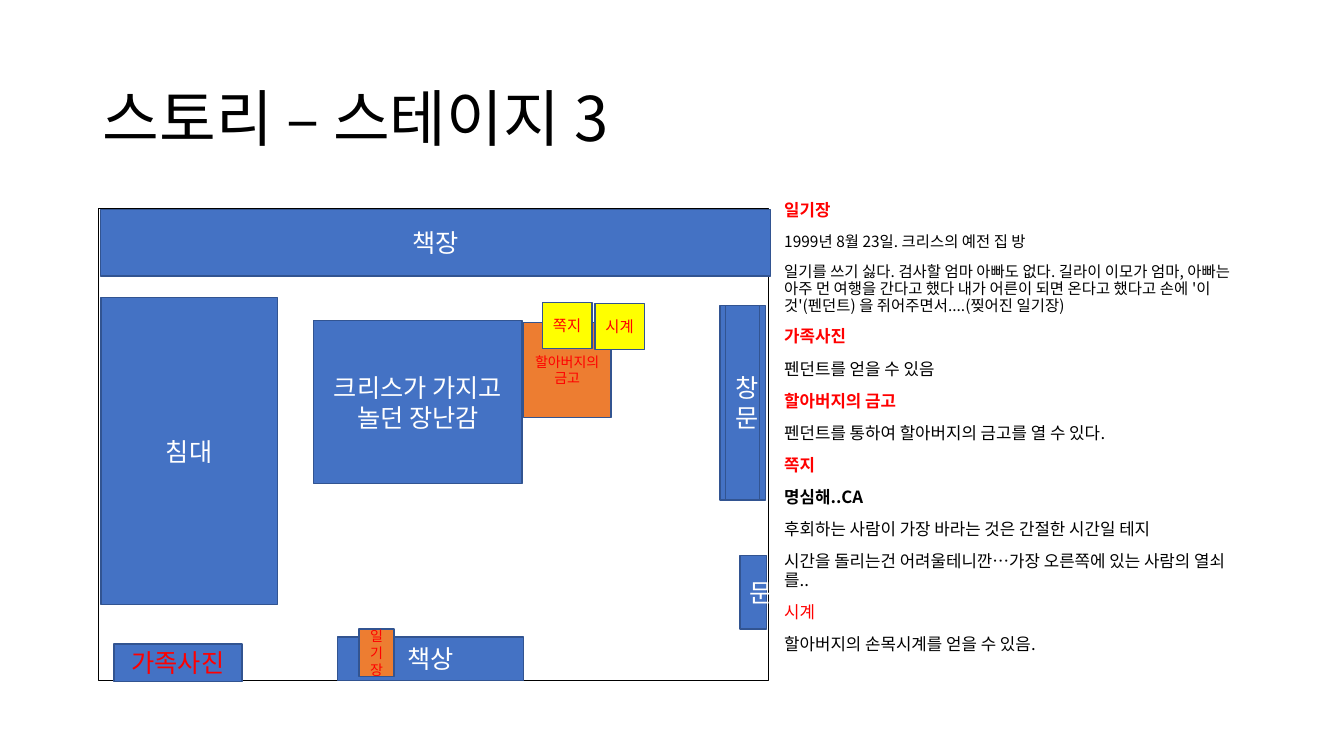
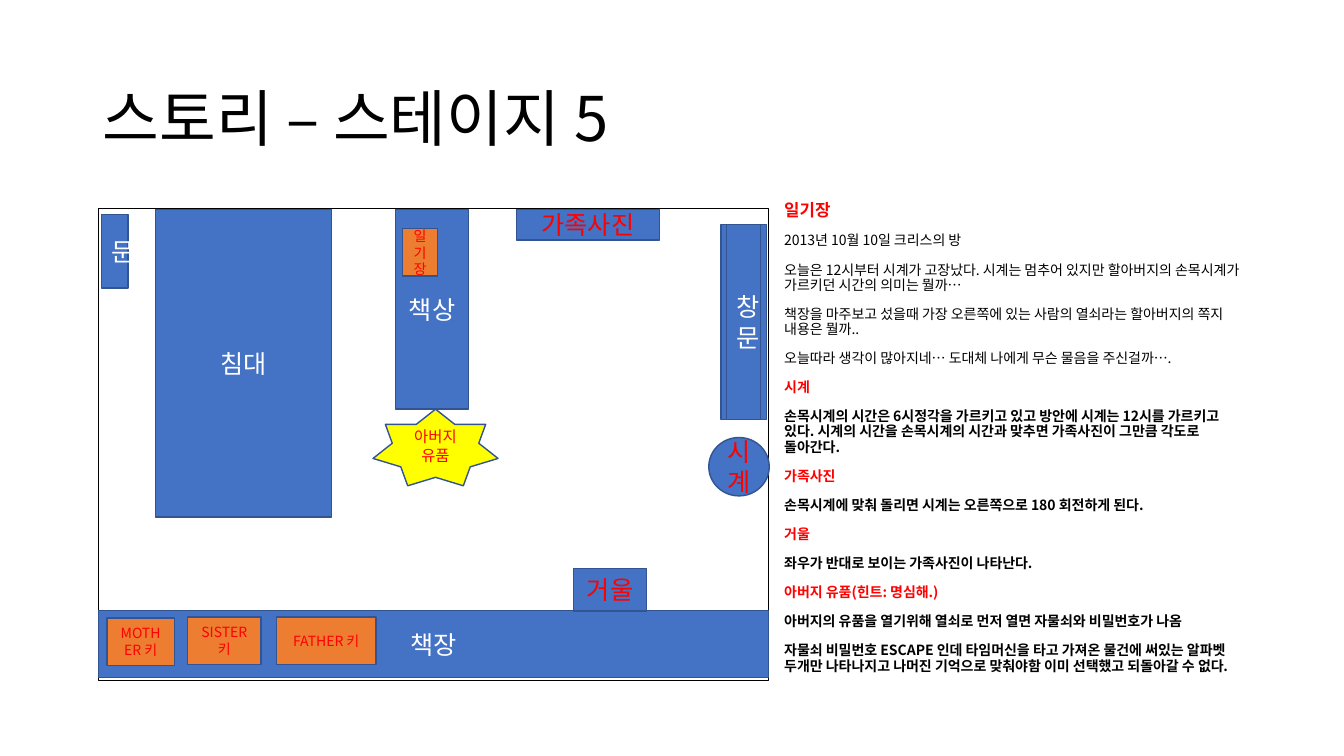
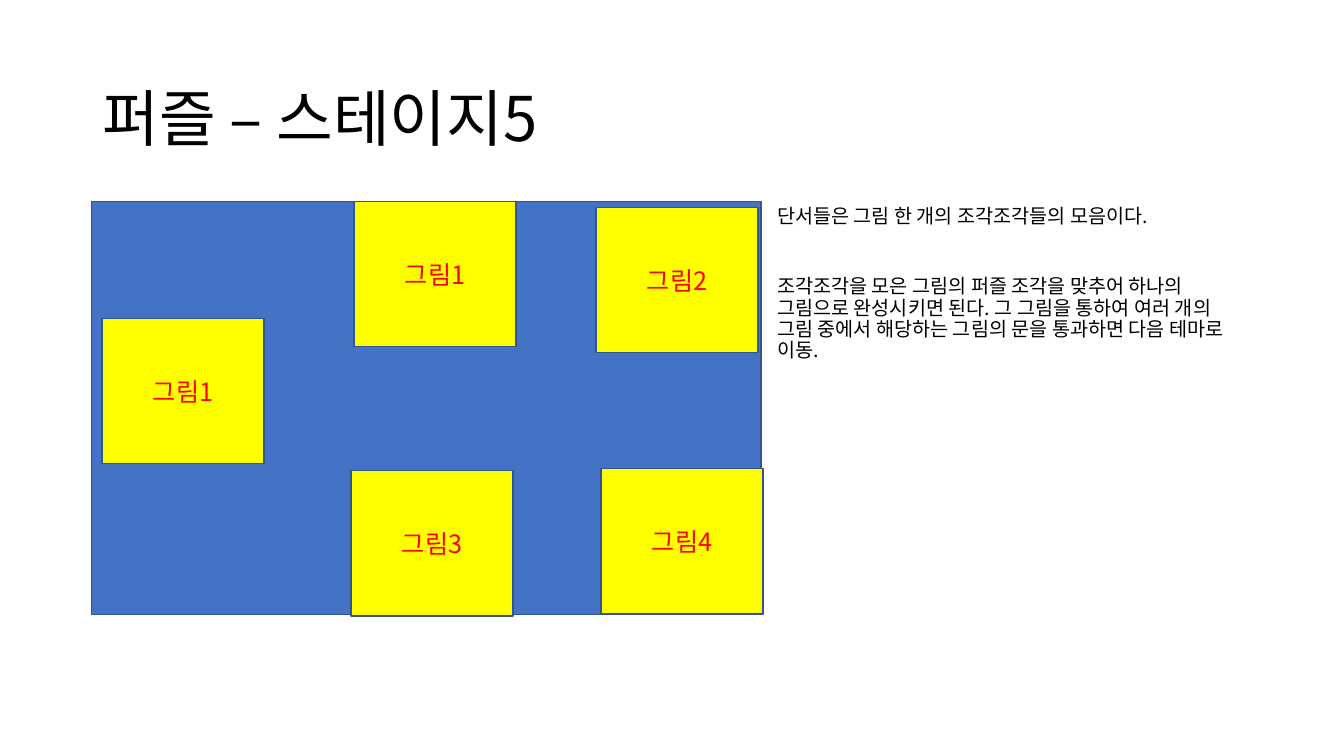
from pptx import Presentation
from pptx import util as u
from pptx.dml.color import RGBColor
from pptx.enum import shapes, text
from pptx.oxml.ns import qn

FONT = "Noto Sans CJK KR"
BLACK, WHITE, RED = "000000", "FFFFFF", "FF0000"
BLUE, ORANGE, YELLOW, EDGE = "4472C4", "ED7D31", "FFFF00", "325491"
TITLE_BOX = (0.92, 0.4, 11.5, 1.45)
ROOM = (0.98, 2.07, 6.64, 4.68)
KIND = shapes.MSO_SHAPE

# Line heights as multiples of the text size
TITLE_LEADING, STORY_LEADING, LABEL_LEADING = 1.3, 1.08, 1.2
PARAGRAPH_GAP = 10

# Item styles: fill, text colour, text size
FURNITURE = (BLUE, WHITE, 18)
CLUE = (BLUE, RED, 18)
HIDDEN = (ORANGE, RED, 10)
NOTE = (YELLOW, RED, 11)
PIECE = (YELLOW, RED, 18)

# Sizes of things that appear in more than one place
DOOR, WINDOW, BED = (0.26, 0.73), (0.45, 1.93), (1.75, 3.05)
BOOKCASE, DIARY, PAPER = (6.64, 0.66), (0.35, 0.47), (0.49, 0.46)
PUZZLE = (1.61, 1.44)

# Items: label, position, size, style, shape kind
# Story lines: text, size, colour, bold
SLIDES = [
    {
        "title": "스토리 – 스테이지 3",
        "frame": (ROOM, None, BLACK),
        "items": [
            ("책상", (3.35, 6.32), (1.84, 0.43), FURNITURE, KIND.RECTANGLE),
            ("문", (7.34, 5.51), DOOR, FURNITURE, KIND.RECTANGLE),
            ("일기장", (3.56, 6.24), DIARY, HIDDEN, KIND.RECTANGLE),
            ("창문", (7.14, 3.03), WINDOW, FURNITURE, KIND.FLOWCHART_PREDEFINED_PROCESS),
            ("침대", (1, 2.95), BED, FURNITURE, KIND.RECTANGLE),
            ("책장", (1, 2.08), BOOKCASE, FURNITURE, KIND.RECTANGLE),
            ("가족사진", (1.13, 6.39), (1.27, 0.37), CLUE, KIND.RECTANGLE),
            ("크리스가 가지고 놀던 장난감", (3.11, 3.18), (2.07, 1.62), FURNITURE, KIND.RECTANGLE),
            ("할아버지의 금고", (5.19, 3.2), (0.87, 0.94), HIDDEN, KIND.RECTANGLE),
            ("쪽지", (5.38, 3), PAPER, NOTE, KIND.RECTANGLE),
            ("시계", (5.9, 3.01), PAPER, NOTE, KIND.RECTANGLE),
        ],
        "story_box": (7.68, 1.95, 4.74, 4.8),
        "story": [
            ("일기장", 12, RED, True),
            ("1999년 8월 23일. 크리스의 예전 집 방", 11, BLACK, False),
            ("일기를 쓰기 싫다. 검사할 엄마 아빠도 없다. 길라이 이모가 엄마, "
             "아빠는 아주 먼 여행을 간다고 했다 내가 어른이 되면 온다고 했다고 "
             "손에 '이것'(펜던트) 을 쥐어주면서....(찢어진 일기장)", 11, BLACK, False),
            ("가족사진", 12, RED, True),
            ("펜던트를 얻을 수 있음", 12, BLACK, False),
            ("할아버지의 금고", 12, RED, True),
            ("펜던트를 통하여 할아버지의 금고를 열 수 있다.", 12, BLACK, False),
            ("쪽지", 12, RED, True),
            ("명심해..CA", 12, BLACK, True),
            ("후회하는 사람이 가장 바라는 것은 간절한 시간일 테지", 12, BLACK, False),
            ("시간을 돌리는건 어려울테니깐…가장 오른쪽에 있는 사람의 열쇠를..", 12, BLACK, False),
            ("시계", 12, RED, False),
            ("할아버지의 손목시계를 얻을 수 있음.", 12, BLACK, False),
        ],
    },
    {
        "title": "스토리 – 스테이지 5",
        "frame": (ROOM, None, BLACK),
        "items": [
            ("책상", (3.92, 2.08), (0.73, 1.98), FURNITURE, KIND.RECTANGLE),
            ("문", (1.01, 2.13), DOOR, FURNITURE, KIND.RECTANGLE),
            ("일기장", (3.99, 2.27), DIARY, HIDDEN, KIND.RECTANGLE),
            ("창문", (7.15, 2.23), WINDOW, FURNITURE, KIND.FLOWCHART_PREDEFINED_PROCESS),
            ("침대", (1.54, 2.08), BED, FURNITURE, KIND.RECTANGLE),
            ("책장", (0.98, 6.06), BOOKCASE, FURNITURE, KIND.RECTANGLE),
            ("MOTHER 키", (1.06, 6.13), (0.67, 0.47), HIDDEN, KIND.RECTANGLE),
            ("FATHER 키", (2.74, 6.12), (0.99, 0.47), HIDDEN, KIND.RECTANGLE),
            ("SISTER 키", (1.86, 6.12), (0.73, 0.47), HIDDEN, KIND.RECTANGLE),
            ("가족사진", (5.12, 2.08), (1.42, 0.3), CLUE, KIND.RECTANGLE),
            ("거울", (5.69, 5.64), (0.72, 0.42), CLUE, KIND.RECTANGLE),
            ("시계", (7.03, 4.34), (0.6, 0.58), CLUE, KIND.OVAL),
            ("아버지\v유품", (3.7, 4.06), (1.24, 0.76), NOTE, KIND.STAR_7_POINT),
        ],
        "story_box": (7.68, 1.95, 4.74, 5.39),
        "story": [
            ("일기장", 12, RED, True),
            ("2013년 10월 10일 크리스의 방", 10, BLACK, False),
            ("오늘은 12시부터 시계가 고장났다. 시계는 멈추어 있지만 할아버지의 "
             "손목시계가 가르키던 시간의 의미는 뭘까…", 10, BLACK, False),
            ("책장을 마주보고 섰을때 가장 오른쪽에 있는 사람의 열쇠라는 할아버지의 쪽지 "
             "내용은 뭘까..", 10, BLACK, False),
            ("오늘따라 생각이 많아지네… 도대체 나에게 무슨 물음을 주신걸까….", 10, BLACK, False),
            ("시계", 10, RED, True),
            ("손목시계의 시간은 6시정각을 가르키고 있고 방안에 시계는 12시를 가르키고 "
             "있다. 시계의 시간을 손목시계의 시간과 맞추면 가족사진이 그만큼 각도로 "
             "돌아간다.", 10, BLACK, True),
            ("가족사진", 10, RED, True),
            ("손목시계에 맞춰 돌리면 시계는 오른쪽으로 180 회전하게 된다.", 10, BLACK, True),
            ("거울", 10, RED, True),
            ("좌우가 반대로 보이는 가족사진이 나타난다.", 10, BLACK, True),
            ("아버지 유품(힌트: 명심해.)", 10, RED, True),
            ("아버지의 유품을 열기위해 열쇠로 먼저 열면 자물쇠와 비밀번호가 나옴", 10, BLACK, True),
            ("자물쇠 비밀번호 ESCAPE 인데 타임머신을 타고 가져온 물건에 써있는 알파벳 "
             "두개만 나타나지고 나머진 기억으로 맞춰야함 이미 선택했고 되돌아갈 수 없다.",
             10, BLACK, True),
        ],
    },
    {
        "title": "퍼즐 – 스테이지5",
        "frame": ((0.91, 2, 6.64, 4.1), BLUE, EDGE),
        "items": [
            ("그림1", (1.01, 3.16), PUZZLE, PIECE, KIND.RECTANGLE),
            ("그림3", (3.48, 4.67), PUZZLE, PIECE, KIND.RECTANGLE),
            ("그림4", (5.96, 4.65), PUZZLE, PIECE, KIND.RECTANGLE),
            ("그림2", (5.91, 2.06), PUZZLE, PIECE, KIND.RECTANGLE),
            ("그림1", (3.51, 2), PUZZLE, PIECE, KIND.RECTANGLE),
        ],
        "story_box": (7.61, 2, 4.81, 4.76),
        "story_gap": 35,
        "story": [
            ("단서들은 그림 한 개의 조각조각들의 모음이다.", 14, BLACK, False),
            ("조각조각을 모은 그림의 퍼즐 조각을 맞추어 하나의 그림으로 완성시키면 된다. "
             "그 그림을 통하여 여러 개의 그림 중에서 해당하는 그림의 문을 통과하면 "
             "다음 테마로 이동.", 14, BLACK, False),
        ],
    },
]


def colour(value):
    return RGBColor.from_string(value)


def inches(values):
    return [u.Inches(value) for value in values]


def format_paragraph(para, size, ink, leading, bold=False):
    para.line_spacing = u.Pt(round(size * leading, 2))
    for span in para.runs:
        span.font.name = FONT
        span.font.size = u.Pt(size)
        span.font.bold = bold
        span.font.color.rgb = colour(ink)
        east_asian = span.font._element.makeelement(qn("a:ea"), {"typeface": FONT})
        span.font._element.find(qn("a:latin")).addnext(east_asian)


def add_text(page, place, lines, leading, gap=0, anchor=text.MSO_ANCHOR.TOP):
    frame = page.shapes.add_textbox(*inches(place)).text_frame
    frame.word_wrap = True
    frame.vertical_anchor = anchor
    for index, (words, size, ink, bold) in enumerate(lines):
        para = frame.add_paragraph() if index else frame.paragraphs[0]
        para.text = words
        para.space_before = u.Pt(gap if index else 0)
        format_paragraph(para, size, ink, leading, bold)


def add_block(page, kind, place, fill, edge):
    block = page.shapes.add_shape(kind, *inches(place))
    block.shadow.inherit = False
    if fill:
        block.fill.solid()
        block.fill.fore_color.rgb = colour(fill)
    else:
        block.fill.background()
    block.line.color.rgb = colour(edge)
    block.line.width = u.Pt(1)
    return block


def add_item(page, label, position, size, style, kind):
    fill, ink, text_size = style
    frame = add_block(page, kind, position + size, fill, EDGE).text_frame
    frame.word_wrap = True
    frame.vertical_anchor = text.MSO_ANCHOR.MIDDLE
    para = frame.paragraphs[0]
    para.text = label
    para.alignment = text.PP_ALIGN.CENTER
    format_paragraph(para, text_size, ink, LABEL_LEADING)


def main():
    deck = Presentation()
    deck.slide_width, deck.slide_height = inches((13.33, 7.5))
    for content in SLIDES:
        page = deck.slides.add_slide(deck.slide_layouts[6])
        add_text(page, TITLE_BOX, [(content["title"], 44, BLACK, False)],
                 TITLE_LEADING, anchor=text.MSO_ANCHOR.MIDDLE)
        add_text(page, content["story_box"], content["story"], STORY_LEADING,
                 content.get("story_gap", PARAGRAPH_GAP))
        add_block(page, KIND.RECTANGLE, *content["frame"])
        for item in content["items"]:
            add_item(page, *item)
    deck.save("out.pptx")


if __name__ == "__main__":
    main()
